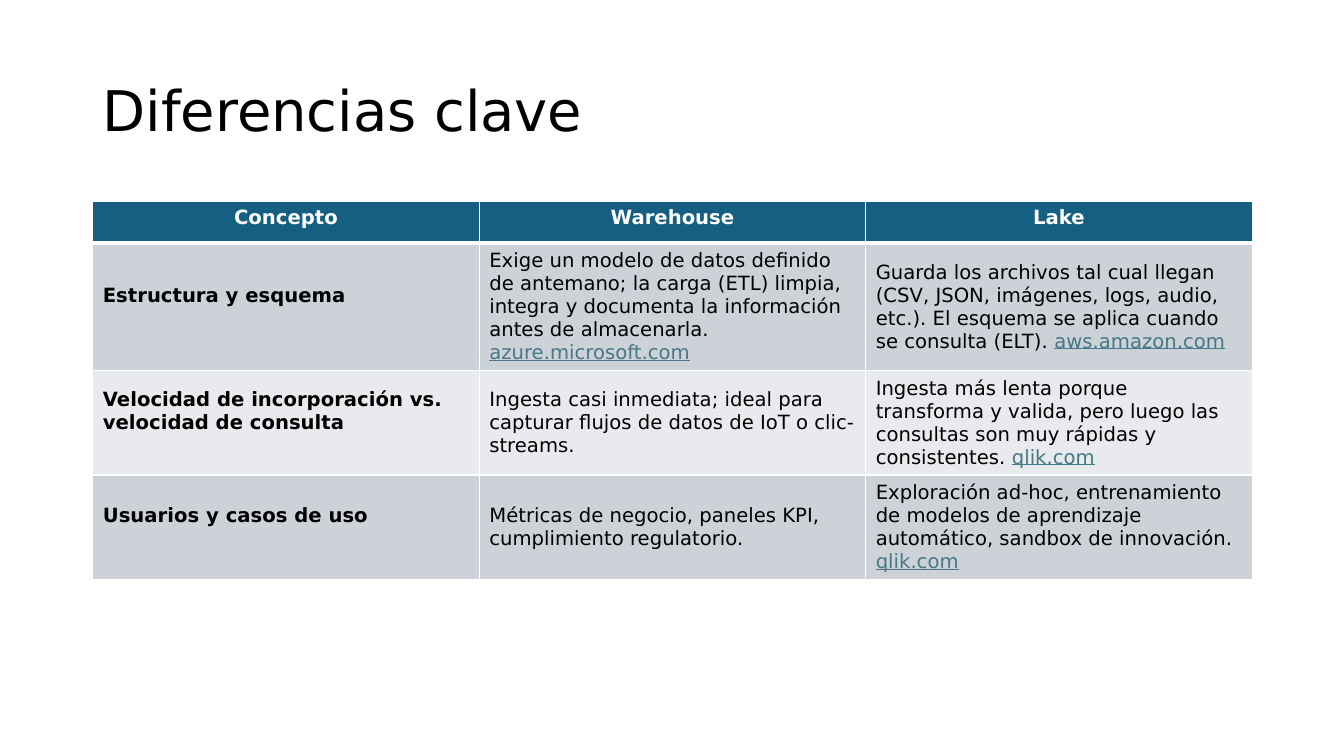
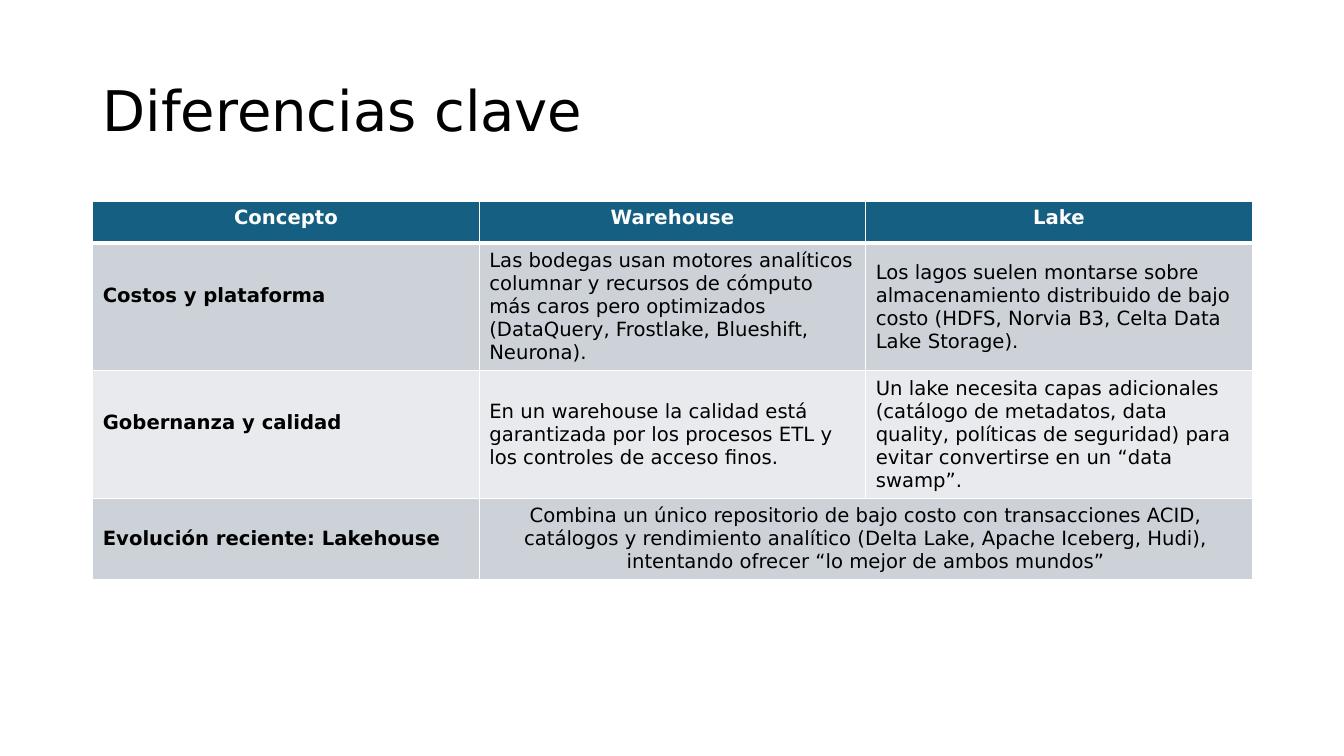
from lxml import etree
from pptx import Presentation
from pptx.dml.color import RGBColor
from pptx.enum.text import MSO_ANCHOR, PP_ALIGN
from pptx.oxml.ns import qn
from pptx.util import Inches, Pt

MIDDLE, TOP = MSO_ANCHOR.MIDDLE, MSO_ANCHOR.TOP
LEFT, CENTER = PP_ALIGN.LEFT, PP_ALIGN.CENTER

WHITE = RGBColor(0xFF, 0xFF, 0xFF)
BLACK = RGBColor(0x00, 0x00, 0x00)
HEADER = RGBColor(0x15, 0x60, 0x82)
BANDS = (RGBColor(0xCC, 0xD2, 0xD8), RGBColor(0xE8, 0xEA, 0xED))
LINK = RGBColor(0x46, 0x78, 0x86)

FONT = "DejaVu Sans"
SLIDE_W, SLIDE_H = Inches(13.33), Inches(7.5)
TITLE_BOX = (Inches(0.92), Inches(0.4), Inches(11.5), Inches(1.45))
TABLE_BOX = (Inches(0.92), Inches(2), Inches(11.5))
ROW_H = Inches(0.41)
LABEL_LIFT = Inches(0.28)
THIN, THICK = Pt(1), Pt(3)

TITLE = "Diferencias clave"
HEADINGS = ("Concepto", "Warehouse", "Lake")

STRUCTURE_ROWS = (
    (("Estructura y esquema",),
     ("Exige un modelo de datos definido de antemano; la carga (ETL) limpia, integra y "
      "documenta la información antes de almacenarla. ", "azure.microsoft.com"),
     ("Guarda los archivos tal cual llegan (CSV, JSON, imágenes, logs, audio, etc.). "
      "El esquema se aplica cuando se consulta (ELT). ", "aws.amazon.com")),
    (("Velocidad de incorporación vs. velocidad de consulta",),
     ("Ingesta casi inmediata; ideal para capturar flujos de datos de IoT o clic-streams.",),
     ("Ingesta más lenta porque transforma y valida, pero luego las consultas son muy "
      "rápidas y consistentes. ", "qlik.com")),
    (("Usuarios y casos de uso",),
     ("Métricas de negocio, paneles KPI, cumplimiento regulatorio.",),
     ("Exploración ad-hoc, entrenamiento de modelos de aprendizaje automático, sandbox "
      "de innovación. ", "qlik.com")),
)
PLATFORM_ROWS = (
    (("Costos y plataforma",),
     ("Las bodegas usan motores analíticos columnar y recursos de cómputo más caros pero "
      "optimizados (DataQuery, Frostlake, Blueshift, Neurona).",),
     ("Los lagos suelen montarse sobre almacenamiento distribuido de bajo costo "
      "(HDFS, Norvia B3, Celta Data Lake Storage).",)),
    (("Gobernanza y calidad",),
     ("En un warehouse la calidad está garantizada por los procesos ETL y los controles "
      "de acceso finos.",),
     ("Un lake necesita capas adicionales (catálogo de metadatos, data quality, políticas "
      "de seguridad) para evitar convertirse en un “data swamp”.",)),
    (("Evolución reciente: Lakehouse",),
     ("Combina un único repositorio de bajo costo con transacciones ACID, catálogos y "
      "rendimiento analítico (Delta Lake, Apache Iceberg, Hudi), intentando ofrecer "
      "“lo mejor de ambos mundos”",)),
)


def add_run(p, text, size, color, bold=False, underline=False):
    """Append one formatted run to a paragraph."""
    r = p.add_run()
    r.text = text
    font = r.font
    font.name, font.size, font.bold, font.underline = FONT, Pt(size), bold, underline
    font.color.rgb = color


def add_title(slide, box, text):
    """Place the slide title in its box."""
    tf = slide.shapes.add_textbox(*box).text_frame
    tf.word_wrap = True
    tf.vertical_anchor = MIDDLE
    p = tf.paragraphs[0]
    p.line_spacing = 0.9
    add_run(p, text, 40, BLACK)


def set_borders(cell, top, bottom):
    """Draw white borders around a cell."""
    tc_pr = cell._tc.get_or_add_tcPr()
    for side, width in (("L", THIN), ("R", THIN), ("T", top), ("B", bottom)):
        ln = etree.SubElement(tc_pr, qn(f"a:ln{side}"), w=str(width))
        fill = etree.SubElement(ln, qn("a:solidFill"))
        etree.SubElement(fill, qn("a:srgbClr"), val=str(WHITE))


def fill_cell(cell, parts, fill, color, bold, align, anchor, top=THIN, bottom=THIN):
    """Style a cell and write its text, followed by an optional web address."""
    set_borders(cell, top, bottom)
    cell.fill.solid()
    cell.fill.fore_color.rgb = fill
    cell.vertical_anchor = anchor
    p = cell.text_frame.paragraphs[0]
    p.alignment = align
    text, *addresses = parts
    add_run(p, text, 14, color, bold)
    for address in addresses:
        add_run(p, address, 14, LINK, underline=True)


def add_comparison(slide, box, rows):
    """Place the comparison table; a row with a cell less spans its last columns."""
    n_rows, n_cols = len(rows) + 1, len(HEADINGS)
    table = slide.shapes.add_table(n_rows, n_cols, *box, ROW_H * n_rows).table
    table.horz_banding = False
    for j, heading in enumerate(HEADINGS):
        fill_cell(table.cell(0, j), (heading,), HEADER, WHITE, True, CENTER, TOP, bottom=THICK)
    for i, row in enumerate(rows, 1):
        spans = len(row) < n_cols
        if spans:
            table.cell(i, len(row) - 1).merge(table.cell(i, n_cols - 1))
        for j, parts in enumerate(row):
            cell = table.cell(i, j)
            fill_cell(cell, parts, BANDS[(i - 1) % 2], BLACK, j == 0,
                      CENTER if cell.is_merge_origin else LEFT, MIDDLE,
                      top=THICK if i == 1 else THIN)
        if not spans:
            table.cell(i, 0).margin_bottom = LABEL_LIFT


def add_slide(prs, rows):
    """Add one titled comparison slide."""
    slide = prs.slides.add_slide(prs.slide_layouts[6])
    add_title(slide, TITLE_BOX, TITLE)
    add_comparison(slide, TABLE_BOX, rows)


def main():
    """Build and save the presentation."""
    prs = Presentation()
    prs.slide_width, prs.slide_height = SLIDE_W, SLIDE_H
    for rows in (STRUCTURE_ROWS, PLATFORM_ROWS):
        add_slide(prs, rows)
    prs.save("out.pptx")


if __name__ == "__main__":
    main()
